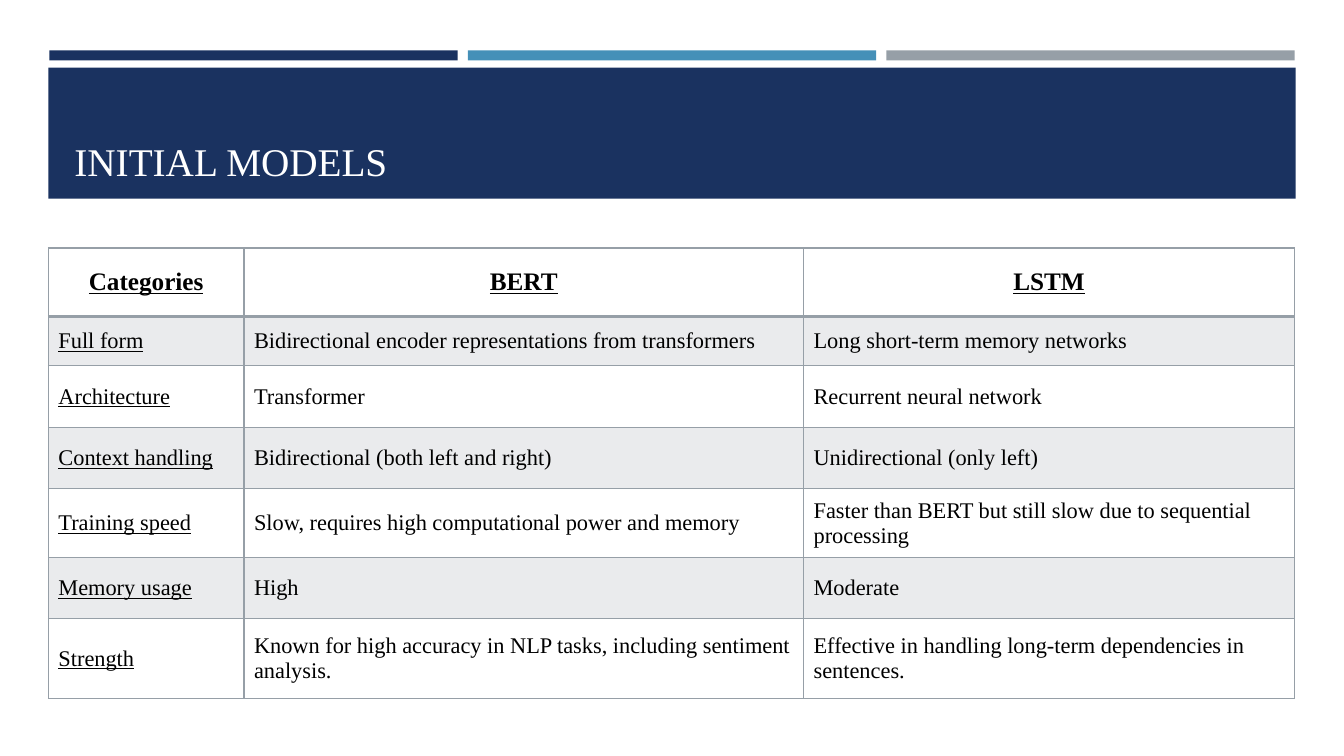
from lxml import etree
from pptx import Presentation
from pptx import util as u
from pptx.dml.color import RGBColor
from pptx.enum import shapes, text
from pptx.oxml import ns

NAVY = RGBColor(0x1A, 0x32, 0x60)
BLUE = RGBColor(0x45, 0x90, 0xB8)
GREY = RGBColor(0x96, 0x9F, 0xA7)
WHITE = RGBColor(0xFF, 0xFF, 0xFF)
BLACK = RGBColor(0, 0, 0)
FONT = "Times New Roman"

COLUMN_WIDTHS = [1.94, 5.55, 4.87]
ROW_HEIGHTS = [0.68, 0.49, 0.61, 0.61, 0.68, 0.61, 0.79]
MODELS = [
    ("Categories", "BERT", "LSTM"),
    ("Full form", "Bidirectional encoder representations from transformers",
     "Long short-term memory networks"),
    ("Architecture", "Transformer", "Recurrent neural network"),
    ("Context handling", "Bidirectional (both left and right)",
     "Unidirectional (only left)"),
    ("Training speed", "Slow, requires high computational power and memory",
     "Faster than BERT but still slow due to sequential processing"),
    ("Memory usage", "High", "Moderate"),
    ("Strength", "Known for high accuracy in NLP tasks, including sentiment analysis.",
     "Effective in handling long-term dependencies in sentences."),
]


def write(frame, words, size, color=BLACK, bold=False, underline=False,
          align=text.PP_ALIGN.LEFT):
    """Put one formatted paragraph into a text frame."""
    para = frame.paragraphs[0]
    para.alignment = align
    span = para.add_run()
    span.text = words
    font = span.font
    font.name, font.size, font.bold, font.underline = FONT, u.Pt(size), bold, underline
    font.color.rgb = color


def add_bar(page, left, top, width, height, color):
    """Draw a plain filled rectangle."""
    bar = page.shapes.add_shape(shapes.MSO_SHAPE.RECTANGLE, u.Inches(left),
                                u.Inches(top), u.Inches(width), u.Inches(height))
    bar.shadow.inherit = False
    bar.fill.solid()
    bar.fill.fore_color.rgb = color
    bar.line.fill.background()


def add_stripes(page, left, top, width, height, gap=0.1):
    """Divide a strip into three equal coloured bars."""
    colors = [NAVY, BLUE, GREY]
    bar_width = (width - gap * (len(colors) - 1)) / len(colors)
    for index, color in enumerate(colors):
        add_bar(page, left + index * (bar_width + gap), top, bar_width, height, color)


def add_banner(page, left, top, width, height, title):
    """Draw the title banner with its text at the bottom."""
    add_bar(page, left, top, width, height, NAVY)
    box = page.shapes.add_textbox(u.Inches(left + 0.16), u.Inches(top + 0.1),
                                  u.Inches(width - 0.31), u.Inches(height - 0.19))
    frame = box.text_frame
    frame.word_wrap = True
    frame.vertical_anchor = text.MSO_ANCHOR.BOTTOM
    write(frame, title, 28, color=WHITE)


def style_cell(cell, banded, bottom_width):
    """Give a cell its band tint and its four borders."""
    if banded:
        cell.fill.solid()
        cell.fill.fore_color.rgb = GREY
        tint = cell.fill._xPr.find(ns.qn("a:solidFill"))[0]
        etree.SubElement(tint, ns.qn("a:alpha"), val="20000")
    else:
        cell.fill.background()
    widths = {"a:lnL": 1, "a:lnR": 1, "a:lnT": 1, "a:lnB": bottom_width}
    properties = cell._tc.get_or_add_tcPr()
    for index, (side, width) in enumerate(widths.items()):
        border = etree.Element(ns.qn(side), w=str(u.Pt(width)))
        fill = etree.SubElement(border, ns.qn("a:solidFill"))
        etree.SubElement(fill, ns.qn("a:srgbClr"), val=str(GREY))
        properties.insert(index, border)


def add_comparison(page, left, top, width, height):
    """Build the table that compares the models."""
    table = page.shapes.add_table(len(MODELS), len(COLUMN_WIDTHS), u.Inches(left),
                                  u.Inches(top), u.Inches(width), u.Inches(height)).table
    for column, column_width in zip(table.columns, COLUMN_WIDTHS):
        column.width = u.Inches(column_width)
    for index, (row, row_height, entries) in enumerate(
            zip(table.rows, ROW_HEIGHTS, MODELS)):
        row.height = u.Inches(row_height)
        header = index == 0
        for position, (cell, words) in enumerate(zip(row.cells, entries)):
            cell.vertical_anchor = text.MSO_ANCHOR.MIDDLE
            write(cell.text_frame, words, 18 if header else 16, bold=header,
                  underline=header or position == 0,
                  align=text.PP_ALIGN.CENTER if header else text.PP_ALIGN.LEFT)
            style_cell(cell, index % 2 == 1, 2 if header else 1)


def main():
    """Build and save the slide."""
    deck = Presentation()
    deck.slide_width, deck.slide_height = u.Inches(13.33), u.Inches(7.5)
    page = deck.slides.add_slide(deck.slide_layouts[6])
    add_stripes(page, 0.49, 0.5, 12.35, 0.1)
    add_banner(page, 0.48, 0.67, 12.37, 1.3, "INITIAL MODELS")
    add_comparison(page, 0.48, 2.46, sum(COLUMN_WIDTHS), sum(ROW_HEIGHTS))
    deck.save("out.pptx")


if __name__ == "__main__":
    main()
